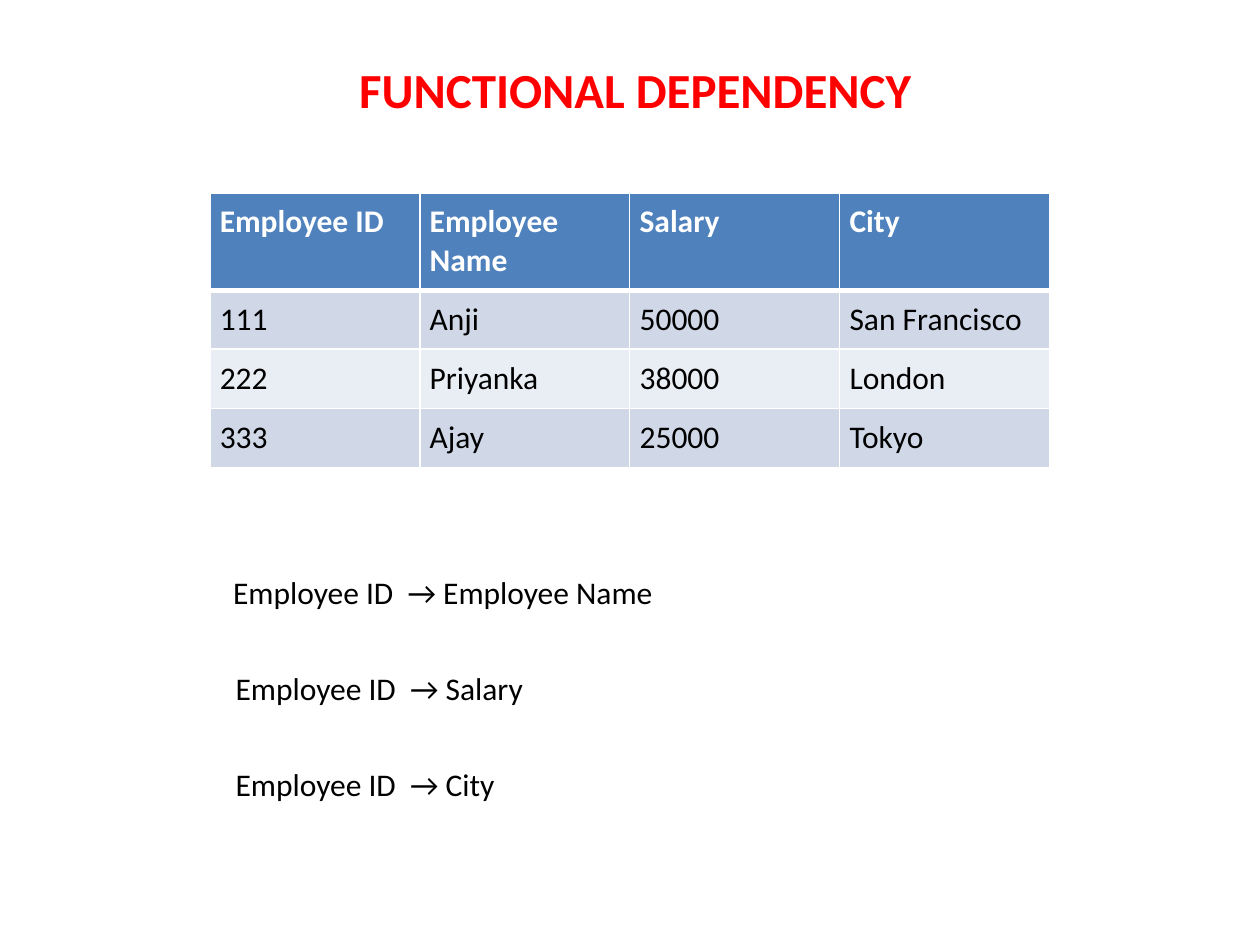
import lxml.etree
import pptx
import pptx.dml.color
import pptx.enum.text
import pptx.oxml.ns
import pptx.util

Cm = pptx.util.Cm
qn = pptx.oxml.ns.qn

COLORS = {"title": "FF0000", "text": "000000", "header": "4F81BD",
          "odd": "D0D8E8", "even": "E9EDF4", "white": "FFFFFF"}
FONT = "Calibri"

TITLE = "FUNCTIONAL DEPENDENCY"
EMPLOYEES = [
    ("Employee ID", "Employee Name", "Salary", "City"),
    ("111", "Anji", "50000", "San Francisco"),
    ("222", "Priyanka", "38000", "London"),
    ("333", "Ajay", "25000", "Tokyo"),
]
DEPENDENCIES = [
    ("Employee ID  → Employee Name", 4.45, 9.22),
    ("Employee ID  → Salary", 4.5, 6.38),
    ("Employee ID  → City", 4.5, 5.79),
]
TABLE_LEFT, TABLE_TOP, TABLE_WIDTH = 4.23, 3.89, 16.93
HEADER_HEIGHT, ROW_HEIGHT, CELL_MARGIN = 1.96, 1.19, 0.2
DEPENDENCY_TOP, DEPENDENCY_STEP, DEPENDENCY_HEIGHT = 11.43, 1.93, 1.02


def rgb(name):
    return pptx.dml.color.RGBColor.from_string(COLORS[name])


def write(tf, text, size=18, color="text", bold=False):
    r = tf.paragraphs[0].add_run()
    r.text = text
    r.font.name = FONT
    r.font.size = pptx.util.Pt(size)
    r.font.bold = bold
    r.font.color.rgb = rgb(color)


def add_label(s, text, left, top, width, height, **style):
    sp = s.shapes.add_textbox(Cm(left), Cm(top), Cm(width), Cm(height))
    tf = sp.text_frame
    tf.word_wrap = False
    tf.auto_size = pptx.enum.text.MSO_AUTO_SIZE.SHAPE_TO_FIT_TEXT
    write(tf, text, **style)


def set_borders(cell, widths):
    tc_pr = cell._tc.get_or_add_tcPr()
    for i, (side, width) in enumerate(widths.items()):
        ln = lxml.etree.Element(qn("a:ln" + side), w=str(pptx.util.Pt(width)))
        fill = lxml.etree.SubElement(ln, qn("a:solidFill"))
        lxml.etree.SubElement(fill, qn("a:srgbClr"), val=COLORS["white"])
        tc_pr.insert(i, ln)


def add_employee_table(s):
    n_rows, n_cols = len(EMPLOYEES), len(EMPLOYEES[0])
    heights = [HEADER_HEIGHT] + [ROW_HEIGHT] * (n_rows - 1)
    table = s.shapes.add_table(n_rows, n_cols, Cm(TABLE_LEFT), Cm(TABLE_TOP),
                               Cm(TABLE_WIDTH), Cm(sum(heights))).table
    for column in table.columns:
        column.width = Cm(TABLE_WIDTH / n_cols)
    for i, values in enumerate(EMPLOYEES):
        table.rows[i].height = Cm(heights[i])
        header = i == 0
        fill = "header" if header else "odd" if i % 2 else "even"
        for j, value in enumerate(values):
            cell = table.cell(i, j)
            cell.margin_left = cell.margin_right = Cm(CELL_MARGIN)
            cell.margin_top = cell.margin_bottom = Cm(CELL_MARGIN)
            cell.fill.solid()
            cell.fill.fore_color.rgb = rgb(fill)
            set_borders(cell, {"L": 1, "R": 1, "T": 3 if i == 1 else 1,
                               "B": 3 if header else 1})
            write(cell.text_frame, value, bold=header,
                  color="white" if header else "text")


def main():
    prs = pptx.Presentation()
    prs.slide_width, prs.slide_height = Cm(25.4), Cm(19.05)
    s = prs.slides.add_slide(prs.slide_layouts[6])
    add_employee_table(s)
    for i, (text, left, width) in enumerate(DEPENDENCIES):
        add_label(s, text, left, DEPENDENCY_TOP + i * DEPENDENCY_STEP,
                  width, DEPENDENCY_HEIGHT)
    add_label(s, TITLE, 6.99, 1.07, 11.76, 1.45,
              size=28, color="title", bold=True)
    prs.save("out.pptx")


if __name__ == "__main__":
    main()
